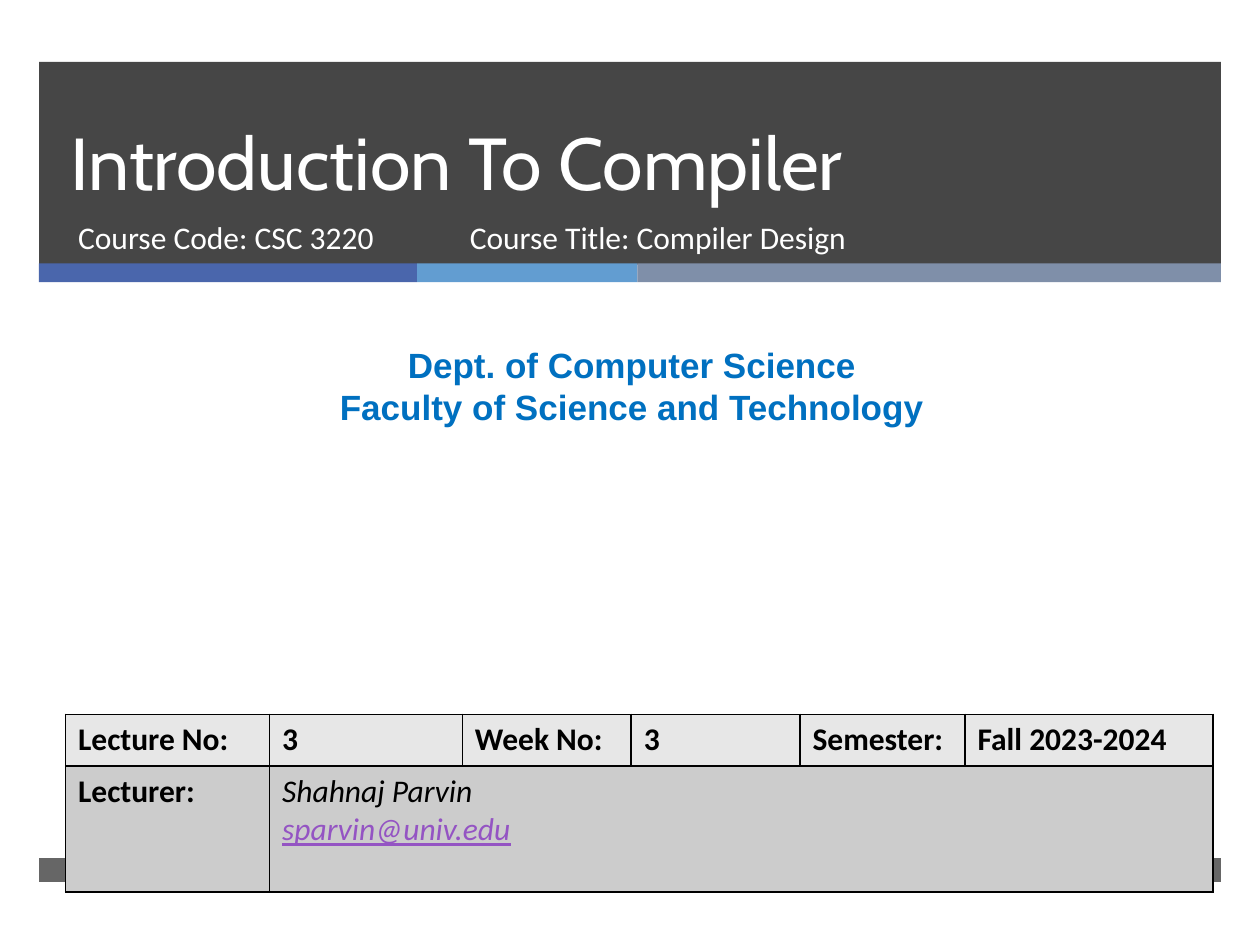
"""Build the opening slide of a compiler design lecture."""
from itertools import accumulate

from lxml.etree import SubElement
from pptx import Presentation
from pptx.dml.color import RGBColor
from pptx.enum.shapes import MSO_SHAPE as Shape
from pptx.enum.text import MSO_ANCHOR as Anchor, MSO_AUTO_SIZE as AutoSize, PP_ALIGN as Align
from pptx.oxml import parse_xml
from pptx.oxml.ns import nsdecls, qn
from pptx.util import Inches, Pt

WHITE, BLACK, CHARCOAL = "FFFFFF", "000000", "262626"


def color(value):
    return RGBColor.from_string(value)


def write(frame, *lines, size=18, font="Calibri", ink=WHITE, bold=False,
          italic=False, underline=False, align=Align.LEFT, leading=None):
    first = not frame.text
    for line in lines:
        para = frame.paragraphs[0] if first else frame.add_paragraph()
        first = False
        para.alignment = align
        para.space_before = Pt(0)
        if leading:
            para.line_spacing = Pt(leading)
        span = para.add_run()
        span.text = line
        face = span.font
        face.size, face.name = Pt(size), font
        face.bold, face.italic, face.underline = bold, italic, underline
        face.color.rgb = color(ink)


class SlideBuilder:
    """Hold the style and the current slide, on a grid of 100 columns by 75 rows."""

    def __init__(self, deck):
        self.column, self.row = deck.slide_width / 100, deck.slide_height / 75
        self.slide = deck.slides.add_slide(deck.slide_layouts[0])
        self.slide.background.fill.solid()
        self.slide.background.fill.fore_color.rgb = color(WHITE)

    def area(self, left, top, width, height):
        return [round(share * unit) for share, unit in
                zip((left, top, width, height), (self.column, self.row) * 2)]

    def bar(self, place, fill, opacity=100):
        bar = self.slide.shapes.add_shape(Shape.RECTANGLE, *self.area(*place))
        bar.shadow.inherit = False
        bar.line.fill.background()
        bar.fill.solid()
        bar.fill.fore_color.rgb = color(fill)
        if opacity < 100:
            tint = bar.fill._xPr.find(".//" + qn("a:srgbClr"))
            SubElement(tint, qn("a:alpha"), val=str(opacity * 1000))

    def placeholder(self, index, place, text, anchor=Anchor.TOP, **style):
        box = self.slide.placeholders[index]
        box.left, box.top, box.width, box.height = self.area(*place)
        self.slide.shapes._spTree.append(box._element)
        self.fill_box(box, [text], anchor, style)

    def text(self, place, *lines, **style):
        box = self.slide.shapes.add_textbox(*self.area(*place))
        self.fill_box(box, lines, Anchor.TOP, style)

    def fill_box(self, box, lines, anchor, style):
        frame = box.text_frame
        frame.word_wrap, frame.auto_size = True, AutoSize.NONE
        frame.vertical_anchor = anchor
        write(frame, *lines, **style)

    def table(self, place, widths, heights, fills):
        table = self.slide.shapes.add_table(
            len(heights), len(widths), *self.area(*place)).table
        for column, width in zip(table.columns, widths):
            column.width = round(width * self.column)
        for row, height, fill in zip(table.rows, heights, fills):
            row.height = round(height * self.row)
            for cell in row.cells:
                cell.fill.solid()
                cell.fill.fore_color.rgb = color(fill)
                self.border(cell)
        return table

    def border(self, cell):
        properties = cell._tc.get_or_add_tcPr()
        for position, side in enumerate("LRTB"):
            properties.insert(position, parse_xml(
                f'<a:ln{side} {nsdecls("a")} w="{Pt(1)}"><a:solidFill>'
                f'<a:srgbClr val="{BLACK}"/></a:solidFill></a:ln{side}>'))


def main():
    deck = Presentation()
    deck.slide_width, deck.slide_height = Inches(10), Inches(7.5)
    page = SlideBuilder(deck)

    page.bar((3.1, 4.9, 93.8, 16.1), CHARCOAL, opacity=85)
    stripes = {"4A66AC": 30, "629DD1": 17.5, "7F8FA9": 46.3}
    lefts = accumulate(stripes.values(), initial=3.1)
    for left, (fill, width) in zip(lefts, stripes.items()):
        page.bar((left, 20.9, width, 1.5), fill)
    page.bar((3.1, 68.1, 93.8, 1.9), CHARCOAL, opacity=70)

    page.placeholder(0, (4.6, 4.9, 85.4, 11.9), "Introduction To Compiler",
                     anchor=Anchor.BOTTOM, size=42, font="Cabin", leading=46)
    page.placeholder(1, (5.2, 16.8, 30.5, 5.3), "Course Code: CSC 3220")
    page.text((0.8, 26.8, 98.7, 7.7), "Dept. of Computer Science",
              "Faculty of Science and Technology", size=20, font="Arial",
              ink="0070C0", bold=True, align=Align.CENTER)

    table = page.table((5.2, 56.7, 91.2, 14.1),
                       (16.2, 15.3, 13.4, 13.4, 13.1, 19.7), (4.1, 10), ("E7E7E7", "CCCCCC"))
    headings = ("Lecture No:", "3", "Week No:", "3", "Semester:", "Fall 2023-2024")
    for cell, heading in zip(table.rows[0].cells, headings):
        write(cell.text_frame, heading, ink=BLACK, bold=True)
    write(table.cell(1, 0).text_frame, "Lecturer:", ink=BLACK, bold=True)
    lecturer = table.cell(1, 1)
    lecturer.merge(table.cell(1, 5))
    write(lecturer.text_frame, "Shahnaj Parvin", ink=BLACK, italic=True)
    write(lecturer.text_frame, "sparvin@univ.edu", ink="9454C3", italic=True, underline=True)

    page.text((36.3, 16.8, 45.5, 5.3), "Course Title: Compiler Design")
    deck.save("out.pptx")


if __name__ == "__main__":
    main()
